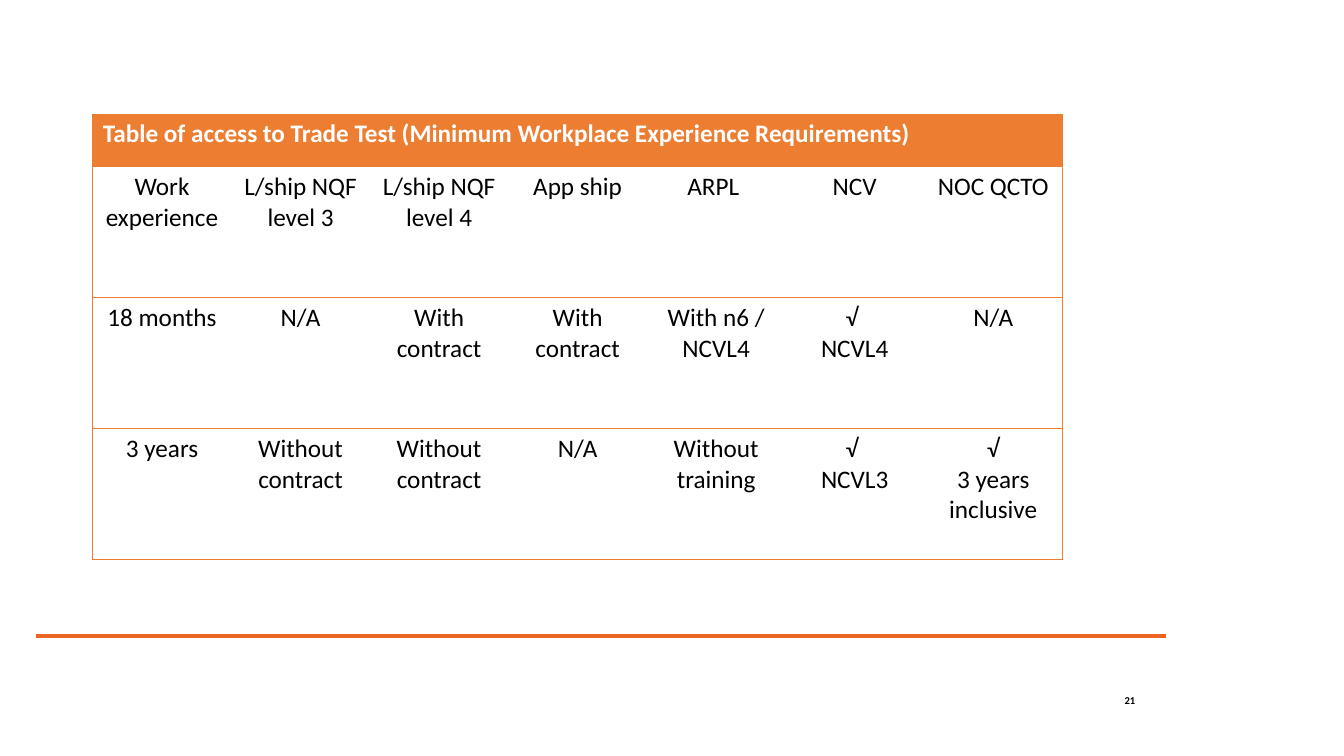
"""Build the slide with the table of access to the Trade Test."""
from lxml.etree import SubElement
from pptx import Presentation
from pptx.dml.color import RGBColor
from pptx.enum.shapes import MSO_CONNECTOR
from pptx.enum.text import MSO_ANCHOR, PP_ALIGN
from pptx.oxml.ns import qn
from pptx.util import Inches, Pt

ORANGE = "ED7D31"
TITLE = "Table of access to Trade Test (Minimum Workplace Experience Requirements)"
ROWS = [
    ["Work experience", "L/ship NQF level 3", "L/ship NQF level 4", "App ship",
     "ARPL ", "NCV", "NOC QCTO"],
    ["18 months", "N/A", "With contract", "With contract",
     "With n6 / NCVL4", "√ \nNCVL4", "N/A"],
    ["3 years", "Without contract", "Without contract", "N/A",
     "Without training", "√ \nNCVL3", "√\n3 years inclusive"],
]


def color(value):
    """Return the colour for a hex string."""
    return RGBColor.from_string(value)


def write_text(text_frame, text, size, hex_color, bold, alignment):
    """Write each line of the text as one formatted paragraph."""
    text_frame.word_wrap = True
    for index, line in enumerate(text.split("\n")):
        paragraph = text_frame.paragraphs[0] if index == 0 else text_frame.add_paragraph()
        paragraph.alignment = alignment
        run = paragraph.add_run()
        run.text = line
        run.font.name = "Calibri"
        run.font.size = Pt(size)
        run.font.bold = bold
        run.font.color.rgb = color(hex_color)


def set_borders(cell, visible_sides):
    """Draw the named cell sides in orange and hide the others."""
    properties = cell._tc.get_or_add_tcPr()
    for side in "LRTB":
        line = SubElement(properties, qn(f"a:ln{side}"), w=str(Pt(0.5)))
        if side in visible_sides:
            fill = SubElement(line, qn("a:solidFill"))
            SubElement(fill, qn("a:srgbClr"), val=ORANGE)
        else:
            SubElement(line, qn("a:noFill"))


def add_access_table(slide):
    """Add the access table with its merged heading row."""
    columns = len(ROWS[0])
    frame = slide.shapes.add_table(len(ROWS) + 1, columns, Inches(0.92), Inches(1.13),
                                   Inches(9.62), Inches(4.42))
    table = frame.table
    table.first_row = False
    table.horz_banding = False
    for index, row in enumerate(table.rows):
        row.height = Inches(1.3 if index else 0.52)
        for column, cell in enumerate(row.cells):
            sides = "TB" + "L" * (column == 0) + "R" * (column == columns - 1)
            set_borders(cell, sides)
            if index:
                cell.fill.background()
                write_text(cell.text_frame, ROWS[index - 1][column], 18, "000000",
                           False, PP_ALIGN.CENTER)
            else:
                cell.fill.solid()
                cell.fill.fore_color.rgb = color(ORANGE)
    heading = table.cell(0, 0)
    heading.merge(table.cell(0, columns - 1))
    write_text(heading.text_frame, TITLE, 18, "FFFFFF", True, PP_ALIGN.LEFT)


def add_footer_line(slide):
    """Add the orange line above the footer."""
    line = slide.shapes.add_connector(MSO_CONNECTOR.STRAIGHT, Inches(0.36), Inches(6.31),
                                      Inches(11.56), Inches(6.31))
    line.line.color.rgb = color("EC6422")
    line.line.width = Pt(2.25)
    SubElement(line._element.spPr, qn("a:effectLst"))


def add_slide_number(slide, number):
    """Add the slide number at the right of the footer."""
    box = slide.shapes.add_textbox(Inches(10.72), Inches(6.83), Inches(0.54), Inches(0.24))
    text_frame = box.text_frame
    text_frame.margin_left = text_frame.margin_right = Inches(0)
    text_frame.margin_top = text_frame.margin_bottom = Inches(0)
    text_frame.vertical_anchor = MSO_ANCHOR.MIDDLE
    write_text(text_frame, number, 7.5, "000000", True, PP_ALIGN.RIGHT)


def main():
    """Build and save the presentation."""
    presentation = Presentation()
    presentation.slide_width = Inches(13.33)
    presentation.slide_height = Inches(7.5)
    slide = presentation.slides.add_slide(presentation.slide_layouts[6])
    add_footer_line(slide)
    add_slide_number(slide, "21")
    add_access_table(slide)
    presentation.save("out.pptx")


if __name__ == "__main__":
    main()
